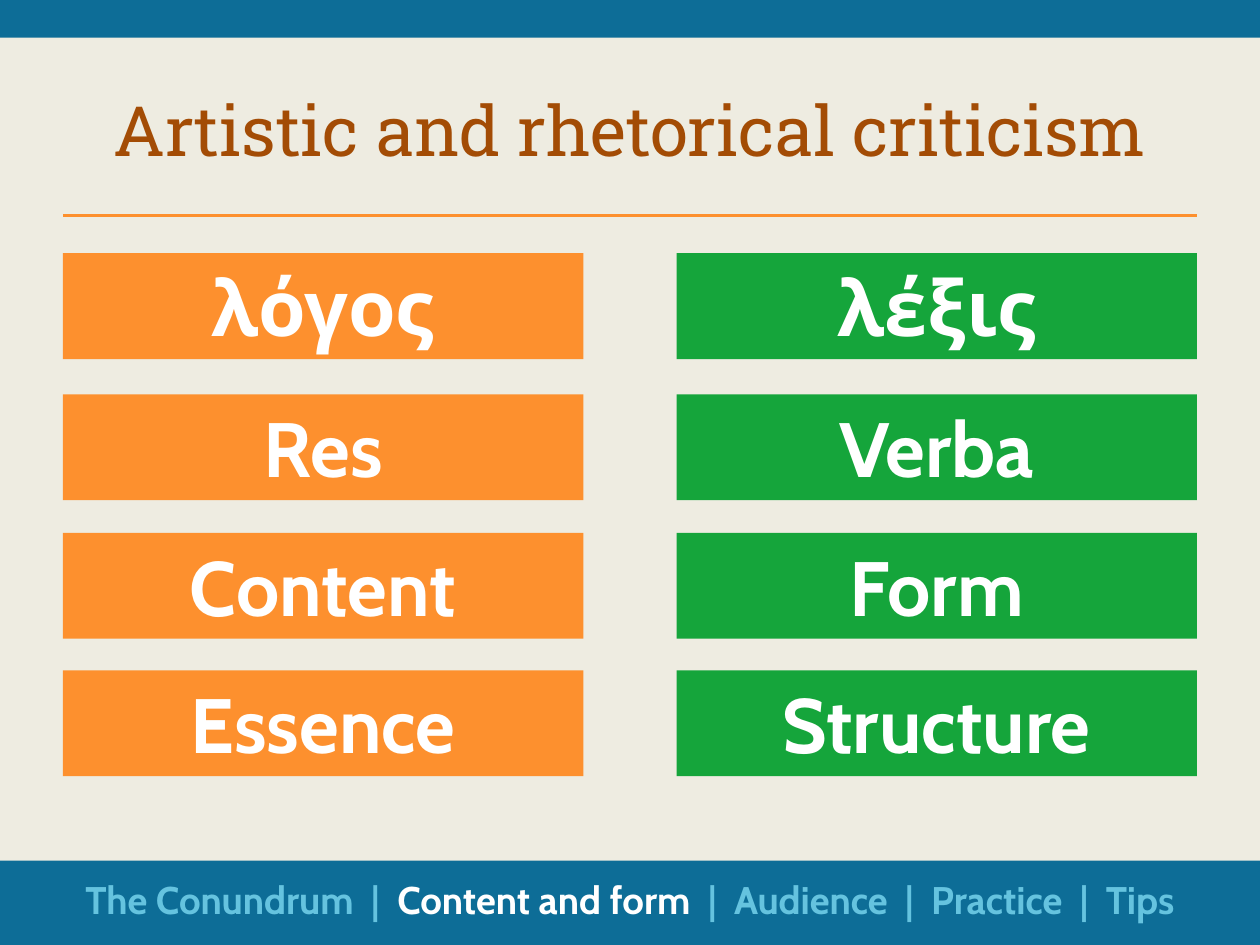
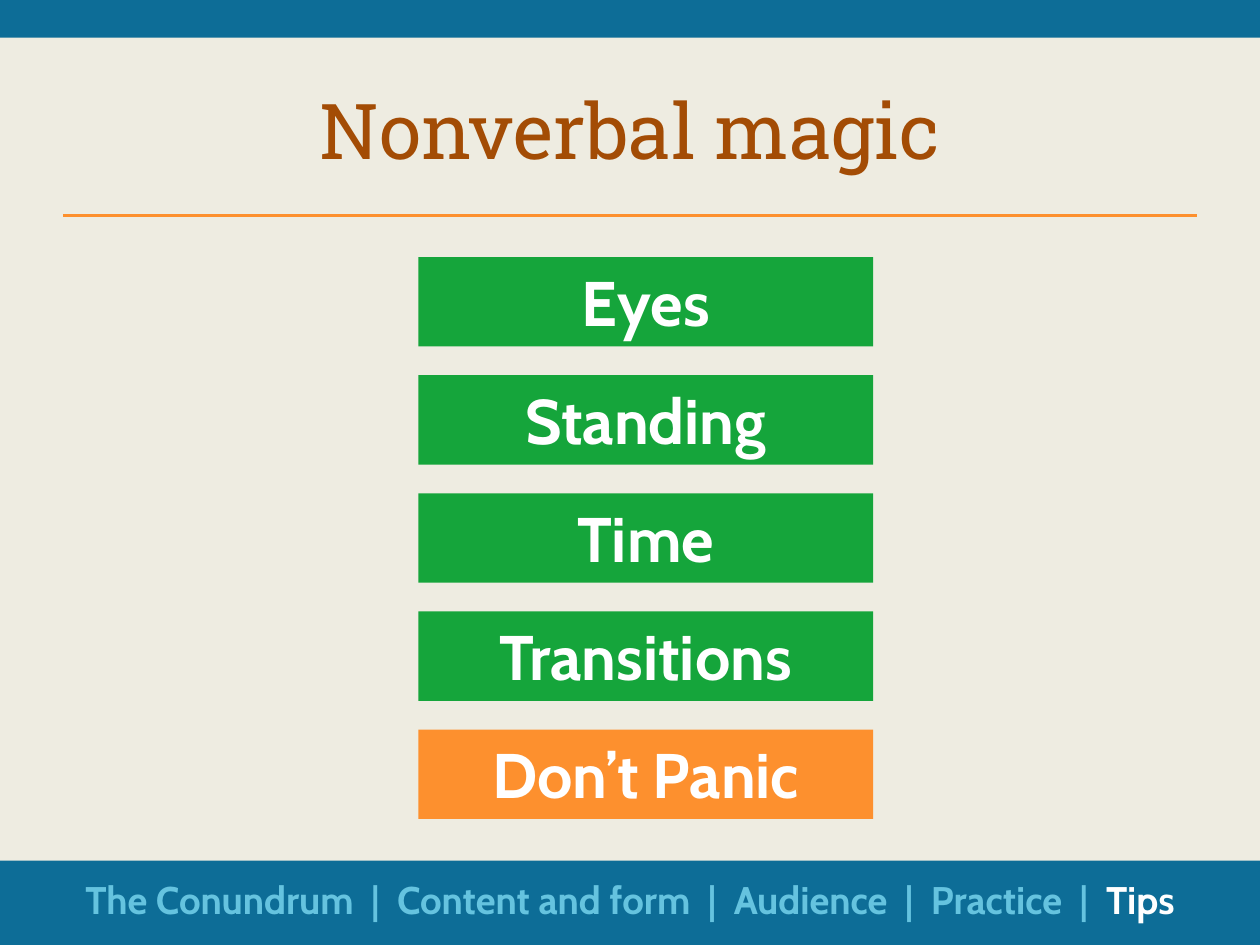
from pptx import Presentation
from pptx.dml.color import RGBColor
from pptx.enum import shapes, text
from pptx.oxml.ns import qn
from pptx.util import Inches, Pt
from lxml import etree

COLORS = {
    "paper": "EEECE1",
    "band": "0D6D97",
    "orange": "FD902E",
    "green": "15A53B",
    "title": "A34C05",
    "muted": "65C3DF",
    "white": "FFFFFF",
}
TITLE_FONT, BODY_FONT = "Roboto Slab", "Cabin"
WIDTH, HEIGHT, MARGIN = 10, 7.5, 0.5
CONTENT_WIDTH = WIDTH - 2 * MARGIN
SECTIONS = ["The Conundrum", "Content and form", "Audience", "Practice", "Tips"]
SEPARATOR = "  |  "


def rgb(name):
    return RGBColor.from_string(COLORS[name])


def style_run(r, size, color, font=BODY_FONT, bold=True):
    r.font.name, r.font.size, r.font.bold = font, Pt(size), bold
    r.font.color.rgb = rgb(color)


def add_rect(slide, box, color):
    sp = slide.shapes.add_shape(shapes.MSO_SHAPE.RECTANGLE, *map(Inches, box))
    sp.shadow.inherit = False
    sp.fill.solid()
    sp.fill.fore_color.rgb = rgb(color)
    sp.line.fill.background()
    return sp


def set_frame(sp, anchor=text.MSO_ANCHOR.TOP, grow=True):
    """Prepare a wrapped, centred text frame and return its first paragraph."""
    tf = sp.text_frame
    tf.word_wrap = True
    tf.vertical_anchor = anchor
    if grow:
        tf.auto_size = text.MSO_AUTO_SIZE.SHAPE_TO_FIT_TEXT
    p = tf.paragraphs[0]
    p.alignment = text.PP_ALIGN.CENTER
    return p


def add_label(slide, box, label, color, size):
    p = set_frame(add_rect(slide, box, color))
    p.text = label
    style_run(p.runs[0], size, "white")


def add_title(slide, box, title, size):
    sp = slide.shapes.add_textbox(*map(Inches, box))
    p = set_frame(sp, text.MSO_ANCHOR.MIDDLE, grow=False)
    p.text = title
    style_run(p.runs[0], size, "title", TITLE_FONT, bold=False)


def add_rule(slide, left, top, width):
    line = slide.shapes.add_connector(
        shapes.MSO_CONNECTOR.STRAIGHT,
        Inches(left), Inches(top), Inches(left + width), Inches(top))
    line.line.color.rgb = rgb("orange")
    line.line.width = Pt(2)
    etree.SubElement(line._element.spPr, qn("a:effectLst"))


def add_section_trail(slide, box, current):
    p = set_frame(slide.shapes.add_textbox(*map(Inches, box)))
    for i, section in enumerate(SECTIONS):
        if i:
            r = p.add_run()
            r.text = SEPARATOR
            style_run(r, 22, "muted")
        r = p.add_run()
        r.text = section
        style_run(r, 22, "white" if section == current else "muted")


def add_base_slide(prs, title, title_size, section):
    """Background, bands, title, rule and section trail of every slide."""
    slide = prs.slides.add_slide(prs.slide_layouts[6])
    slide.background.fill.solid()
    slide.background.fill.fore_color.rgb = rgb("paper")
    add_rect(slide, (0, 6.83, WIDTH, 0.67), "band")
    add_rect(slide, (0, 0, WIDTH, 0.3), "band")
    add_rule(slide, MARGIN, 1.71, CONTENT_WIDTH)
    add_title(slide, (MARGIN, 0.5, CONTENT_WIDTH, 1.05), title, title_size)
    add_section_trail(slide, (MARGIN, 6.9, CONTENT_WIDTH, 0.47), section)
    return slide


def add_pairs(slide, box, pairs, row_offsets):
    """Two columns of labels: content on the left, form on the right."""
    left, top, width = box
    label_width, label_height = 4.13, 0.84
    columns = [(left, "orange"), (left + width - label_width, "green")]
    for pair, offset in zip(pairs, row_offsets):
        for label, (x, color) in zip(pair, columns):
            add_label(slide, (x, top + offset, label_width, label_height),
                      label, color, 44)


def add_stack(slide, box, labels):
    """Equal labels spread over the box, the last one highlighted."""
    left, top, width, height = box
    label_height = 0.71
    pitch = (height - label_height) / (len(labels) - 1)
    for i, label in enumerate(labels):
        color = "orange" if label == labels[-1] else "green"
        add_label(slide, (left, top + i * pitch, width, label_height),
                  label, color, 36)


def main():
    prs = Presentation()
    prs.slide_width, prs.slide_height = Inches(WIDTH), Inches(HEIGHT)

    # Content and form
    slide = add_base_slide(prs, "Artistic and rhetorical criticism", 39.6,
                           "Content and form")
    pairs = [("λόγος", "λέξις"), ("Res", "Verba"),
             ("Content", "Form"), ("Essence", "Structure")]
    add_pairs(slide, (MARGIN, 2.01, CONTENT_WIDTH), pairs,
              (0, 1.12, 2.22, 3.31))

    # Tips
    slide = add_base_slide(prs, "Nonverbal magic", 44, "Tips")
    add_stack(slide, (3.32, 2.04, 3.61, 4.46),
              ["Eyes", "Standing", "Time", "Transitions", "Don’t Panic"])

    prs.save("out.pptx")


if __name__ == "__main__":
    main()
